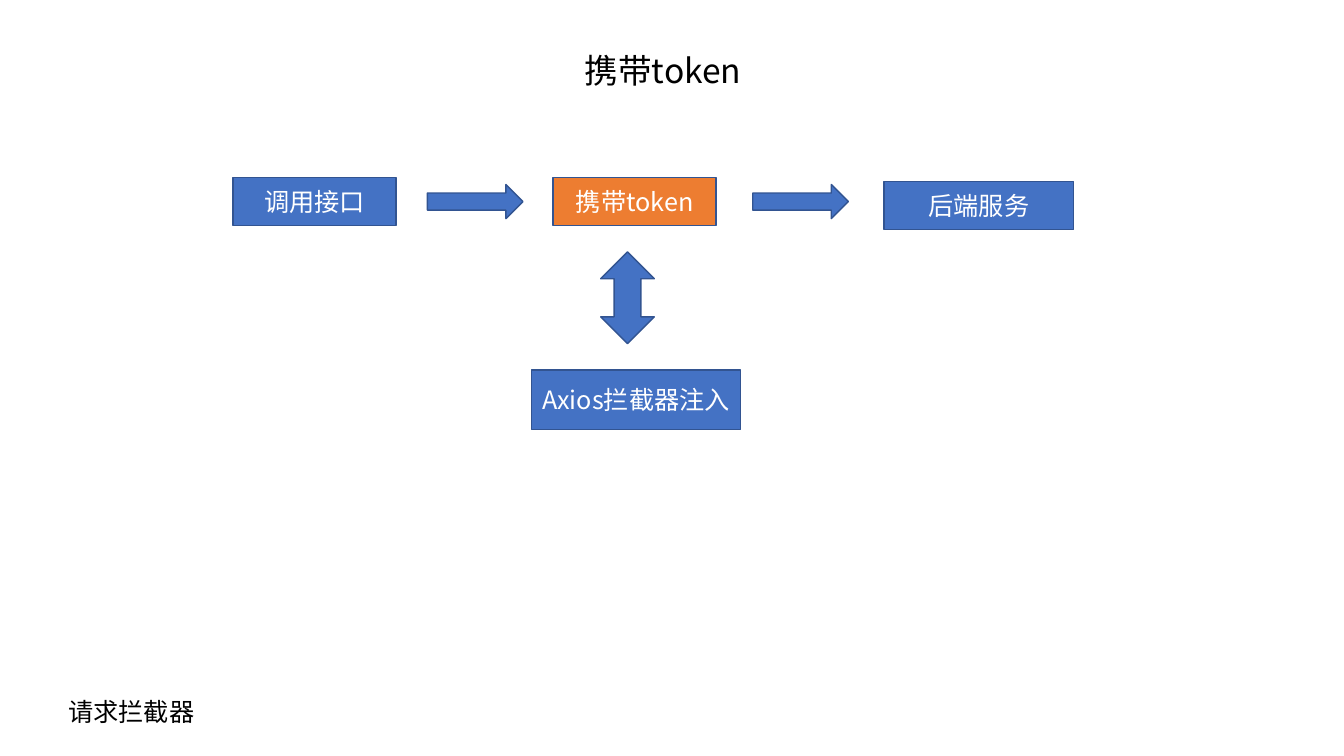
from lxml import etree
from pptx import Presentation
from pptx import util as u
from pptx.dml.color import RGBColor
from pptx.enum import shapes, text
from pptx.oxml.ns import qn

FONT = "Noto Sans CJK SC"
BLUE = RGBColor(0x44, 0x72, 0xC4)
ORANGE = RGBColor(0xED, 0x7D, 0x31)
OUTLINE = RGBColor(0x32, 0x54, 0x91)
WHITE = RGBColor(0xFF, 0xFF, 0xFF)
BLACK = RGBColor(0, 0, 0)
KIND = shapes.MSO_SHAPE


def add_run(p, words, size, color):
    r = p.add_run()
    r.text = words
    r.font.size = u.Pt(size)
    r.font.name = FONT
    r.font.color.rgb = color
    # East Asian glyphs take their font from a:ea
    ea = etree.SubElement(r.font._element, qn("a:ea"))
    ea.set("typeface", FONT)


def place(sp, left, top, width, height):
    sp.left, sp.top = u.Cm(left), u.Cm(top)
    sp.width, sp.height = u.Cm(width), u.Cm(height)


def add_block(s, kind, left, top, width, height, fill=BLUE):
    sp = s.shapes.add_shape(kind, *map(u.Cm, (left, top, width, height)))
    sp.shadow.inherit = False
    sp.fill.solid()
    sp.fill.fore_color.rgb = fill
    sp.line.color.rgb = OUTLINE
    sp.line.width = u.Pt(1)
    return sp


def add_step(s, words, left, top, width=4.11, height=1.22, fill=BLUE):
    sp = add_block(s, KIND.RECTANGLE, left, top, width, height, fill)
    tf = sp.text_frame
    tf.word_wrap = True
    tf.vertical_anchor = text.MSO_ANCHOR.MIDDLE
    p = tf.paragraphs[0]
    p.alignment = text.PP_ALIGN.CENTER
    add_run(p, words, 18, WHITE)


def add_heading(s, words):
    title, subtitle = s.placeholders
    title.element.getparent().remove(title.element)
    place(subtitle, 4.01, 1.24, 25.4, 1.22)
    subtitle.text_frame.vertical_anchor = text.MSO_ANCHOR.TOP
    p = subtitle.text_frame.paragraphs[0]
    p.alignment = text.PP_ALIGN.CENTER
    p.line_spacing = 0.9
    p.space_before = u.Pt(10)
    add_run(p, words, 24, BLACK)


def add_caption(s, words, left, top, width, height):
    sp = s.shapes.add_textbox(*map(u.Cm, (left, top, width, height)))
    tf = sp.text_frame
    tf.word_wrap = False
    tf.auto_size = text.MSO_AUTO_SIZE.SHAPE_TO_FIT_TEXT
    add_run(tf.paragraphs[0], words, 18, BLACK)


def main():
    prs = Presentation()
    prs.slide_width, prs.slide_height = u.Cm(33.87), u.Cm(19.05)
    s = prs.slides.add_slide(prs.slide_layouts[0])
    add_heading(s, "携带token")

    # Request flow, left to right
    add_step(s, "调用接口", 5.87, 4.47)
    add_step(s, "携带token", 13.94, 4.47, fill=ORANGE)
    add_step(s, "后端服务", 22.28, 4.57, width=4.78)
    for left in (10.77, 18.97):
        add_block(s, KIND.RIGHT_ARROW, left, 4.65, 2.41, 0.86)

    # Interceptor that supplies the token
    add_block(s, KIND.UP_DOWN_ARROW, 15.14, 6.35, 1.35, 2.31)
    add_step(s, "Axios拦截器注入", 13.39, 9.32, width=5.28, height=1.5)

    add_caption(s, "请求拦截器", 1.47, 17.42, 3.71, 1.02)
    prs.save("out.pptx")


main()
